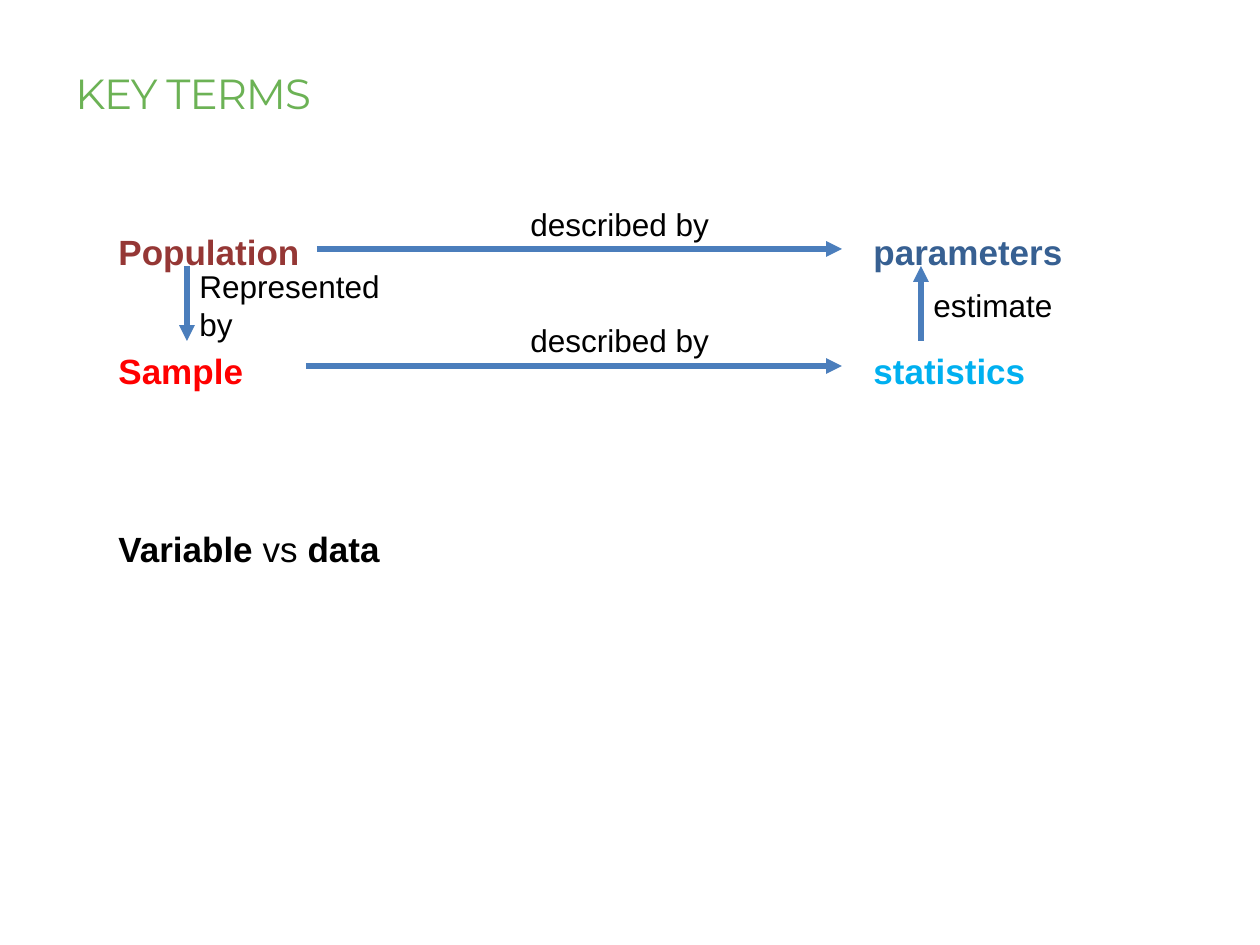
from dataclasses import dataclass

from lxml.etree import SubElement
from pptx import Presentation
from pptx.dml.color import RGBColor as Color
from pptx.enum.shapes import MSO_CONNECTOR as Link
from pptx.enum.text import MSO_ANCHOR as Anchor
from pptx.oxml.ns import qn
from pptx.slide import Slide
from pptx.util import Emu, Pt

SCALE = 914400 / 126  # EMU in one px


@dataclass(frozen=True)
class Theme:
    head_font: str = "Montserrat"
    font: str = "Arial"
    head_size: int = 24
    term_size: int = 20
    note_size: int = 18
    line_width: int = 3
    green: str = "6CB255"
    black: str = "000000"
    maroon: str = "953735"
    navy: str = "376092"
    red: str = "FF0000"
    sky: str = "00B0F0"
    blue: str = "4B7EBC"


@dataclass(frozen=True)
class Label:
    text: str
    left: int
    top: int
    width: int
    height: int
    size: int
    color: str
    font: str
    bold: bool = False
    wrap: bool = True


@dataclass(frozen=True)
class Arrow:
    x1: int
    y1: int
    x2: int
    y2: int


THEME = Theme()


def px(n: int) -> Emu:
    return Emu(round(n * SCALE))


def term(text: str, left: int, top: int, color: str, bold: bool = True) -> Label:
    return Label(text, left, top, 320, 53, THEME.term_size, color, THEME.font, bold)


def note(text: str, left: int, top: int, width: int, height: int = 51,
         wrap: bool = False) -> Label:
    return Label(text, left, top, width, height, THEME.note_size,
                 THEME.black, THEME.font, wrap=wrap)


def add_label(slide: Slide, label: Label):
    box = slide.shapes.add_textbox(px(label.left), px(label.top),
                                   px(label.width), px(label.height))
    frame = box.text_frame
    frame.word_wrap = label.wrap
    par = frame.paragraphs[0]
    par.font.name = label.font
    par.font.size = Pt(label.size)
    par.font.bold = label.bold
    par.font.color.rgb = Color.from_string(label.color)
    if label.text:
        par.add_run().text = label.text
    return frame


def add_arrow(slide: Slide, arrow: Arrow) -> None:
    link = slide.shapes.add_connector(Link.STRAIGHT, px(arrow.x1), px(arrow.y1),
                                      px(arrow.x2), px(arrow.y2))
    link.line.width = Pt(THEME.line_width)
    link.line.color.rgb = Color.from_string(THEME.blue)
    SubElement(link.line._get_or_add_ln(), qn("a:tailEnd"), type="triangle")
    SubElement(link._element.spPr, qn("a:effectLst"))


def main() -> None:
    deck = Presentation()
    deck.slide_width, deck.slide_height = px(1260), px(945)
    slide = deck.slides.add_slide(deck.slide_layouts[6])

    # Title
    title = add_label(slide, Label("KEY TERMS", 63, 33, 1111, 91, THEME.head_size,
                                   THEME.green, THEME.head_font))
    title.vertical_anchor = Anchor.BOTTOM
    title.paragraphs[0].runs[0].font._element.set("spc", "-60")

    # Terms: whole group on the left, its measures on the right
    left, right = 106, 861
    upper, lower = 224, 343
    for item in (
        term("Population", left, upper, THEME.maroon),
        term("parameters", right, upper, THEME.navy),
        term("Sample", left, lower, THEME.red),
        term("statistics", right, lower, THEME.sky),
    ):
        add_label(slide, item)

    # Closing line with mixed weight
    pair = add_label(slide, term("", left, 521, THEME.black)).paragraphs[0]
    for text, bold in (("Variable", True), (" vs ", False), ("data", True)):
        run = pair.add_run()
        run.text = text
        run.font.bold = bold

    # Arrows between the terms
    down, up, end = 187, 921, 842
    for arrow in (
        Arrow(up, 341, up, 266),
        Arrow(down, 266, down, 341),
        Arrow(317, 249, end, 249),
        Arrow(306, 366, end, 366),
    ):
        add_arrow(slide, arrow)

    # Words on the arrows
    for item in (
        note("described by", 518, 199, 204),
        note("described by", 518, 315, 204),
        note("Represented by", down, 261, 214, 89, wrap=True),
        note("estimate", up, 280, 146),
    ):
        add_label(slide, item)

    deck.save("out.pptx")


if __name__ == "__main__":
    main()
